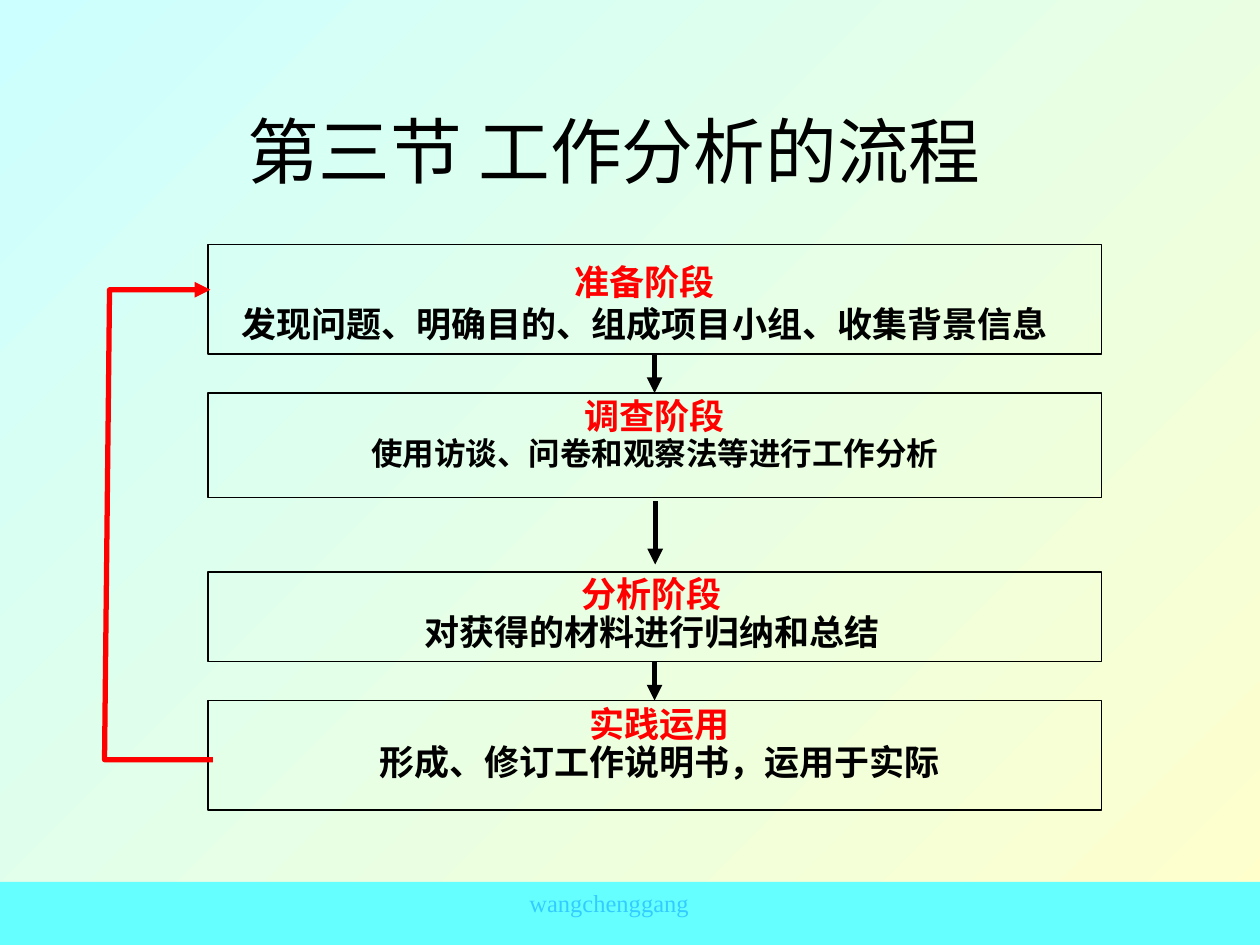
from lxml import etree
from pptx import Presentation
from pptx.dml.color import RGBColor
from pptx.enum.shapes import MSO_CONNECTOR, MSO_SHAPE
from pptx.enum.text import MSO_ANCHOR, PP_ALIGN
from pptx.oxml.ns import qn
from pptx.util import Inches, Pt

SANS = "Noto Sans CJK SC"
BLACK, RED = "000000", "FF0000"


def rgb(value):
    return RGBColor.from_string(value)


def add_text(page, place, lines, bold=False, spacing=None, before=None):
    """Add a centred text box; each line is (text, size, font, colour)."""
    box = page.shapes.add_textbox(*[Inches(v) for v in place])
    box.text_frame.word_wrap = True
    for index, (text, size, font, color) in enumerate(lines):
        para = box.text_frame.paragraphs[0] if index == 0 else box.text_frame.add_paragraph()
        para.alignment = PP_ALIGN.CENTER
        para.line_spacing = spacing
        if index > 0:
            para.space_before = before
        span = para.add_run()
        span.text = text
        span.font.size = Pt(size)
        span.font.bold = bold
        span.font.name = font
        span.font.color.rgb = rgb(color)
        east_asian = etree.SubElement(span.font._element, qn("a:ea"))
        east_asian.set("typeface", SANS)
    return box


deck = Presentation()
deck.slide_width, deck.slide_height = Inches(10), Inches(7.5)
page = deck.slides.add_slide(deck.slide_layouts[6])

# Background, footer band and title
background = page.background.fill
background.gradient()
background.gradient_angle = 315
for stop, position, color in zip(background.gradient_stops, (0, 1), ("CCFFFF", "FFFFCC")):
    stop.position = position
    stop.color.rgb = rgb(color)

band = page.shapes.add_shape(MSO_SHAPE.RECTANGLE, 0, Inches(7), Inches(10), Inches(0.5))
band.shadow.inherit = False
band.fill.solid()
band.fill.fore_color.rgb = rgb("66FFFF")
band.line.fill.background()

add_text(page, (3.25, 7, 3.17, 0.33), [("wangchenggang", 14, "Times New Roman", "33CCFF")])
title = add_text(page, (0.75, 0.76, 8.25, 0.86), [("第三节 工作分析的流程", 41, SANS, BLACK)])
title.text_frame.vertical_anchor = MSO_ANCHOR.MIDDLE

# Stages: frame top and height, text place, heading, description, size, font, line spacing
stages = [
    (1.94, 0.87, (1.77, 2.02, 6.69, 0.77), "准备阶段",
     "发现问题、明确目的、组成项目小组、收集背景信息", 20, SANS, Pt(24), Pt(0)),
    (3.12, 0.83, (1.81, 3.2, 6.77, 0.63), "调查阶段",
     "使用访谈、问卷和观察法等进行工作分析", 18, "Arial", 0.6, Pt(7.5)),
    (4.54, 0.71, (2.76, 4.61, 4.83, 0.67), "分析阶段",
     "对获得的材料进行归纳和总结", 20, SANS, 0.6, Pt(7.5)),
    (5.56, 0.87, (1.73, 5.64, 7.01, 0.67), "实践运用",
     "形成、修订工作说明书，运用于实际", 20, SANS, 0.6, Pt(7.5)),
]
frames = []
for top, height, place, heading, description, size, font, spacing, before in stages:
    frame = page.shapes.add_shape(
        MSO_SHAPE.RECTANGLE, Inches(1.65), Inches(top), Inches(7.09), Inches(height))
    frame.shadow.inherit = False
    frame.fill.background()
    frame.line.color.rgb = rgb(BLACK)
    frame.line.width = Pt(0.75)
    frames.append(frame)
    add_text(page, place, [(heading, 20, SANS, RED), (description, size, font, BLACK)],
             bold=True, spacing=spacing, before=before)

# Arrows down between the stages; the middle one floats in its gap
arrows = []
for index, (start, end) in enumerate([(2.8, 3.14), (3.98, 4.48), (5.24, 5.58)]):
    arrow = page.shapes.add_connector(
        MSO_CONNECTOR.STRAIGHT, Inches(5.2), Inches(start), Inches(5.2), Inches(end))
    if index != 1:
        arrow.begin_connect(frames[index], 2)
        arrow.end_connect(frames[index + 1], 0)
    arrow.line.color.rgb = rgb(BLACK)
    arrows.append(arrow)

# Feedback loop from the last stage to the first
loop_points = [(1.69, 6.03), (0.83, 6.03), (0.87, 2.3), (1.67, 2.3)]
points = [(Inches(x), Inches(y)) for x, y in loop_points]
builder = page.shapes.build_freeform(*points[0])
builder.add_line_segments(points[1:], close=False)
loop = builder.convert_to_shape()
loop.fill.background()
loop.line.color.rgb = rgb(RED)
arrows.append(loop)

for arrow in arrows:
    arrow.line.width = Pt(3)
    line = arrow.line._get_or_add_ln()
    etree.SubElement(line, qn("a:tailEnd")).set("type", "triangle")
    etree.SubElement(arrow._element.spPr, qn("a:effectLst"))

deck.save("out.pptx")
